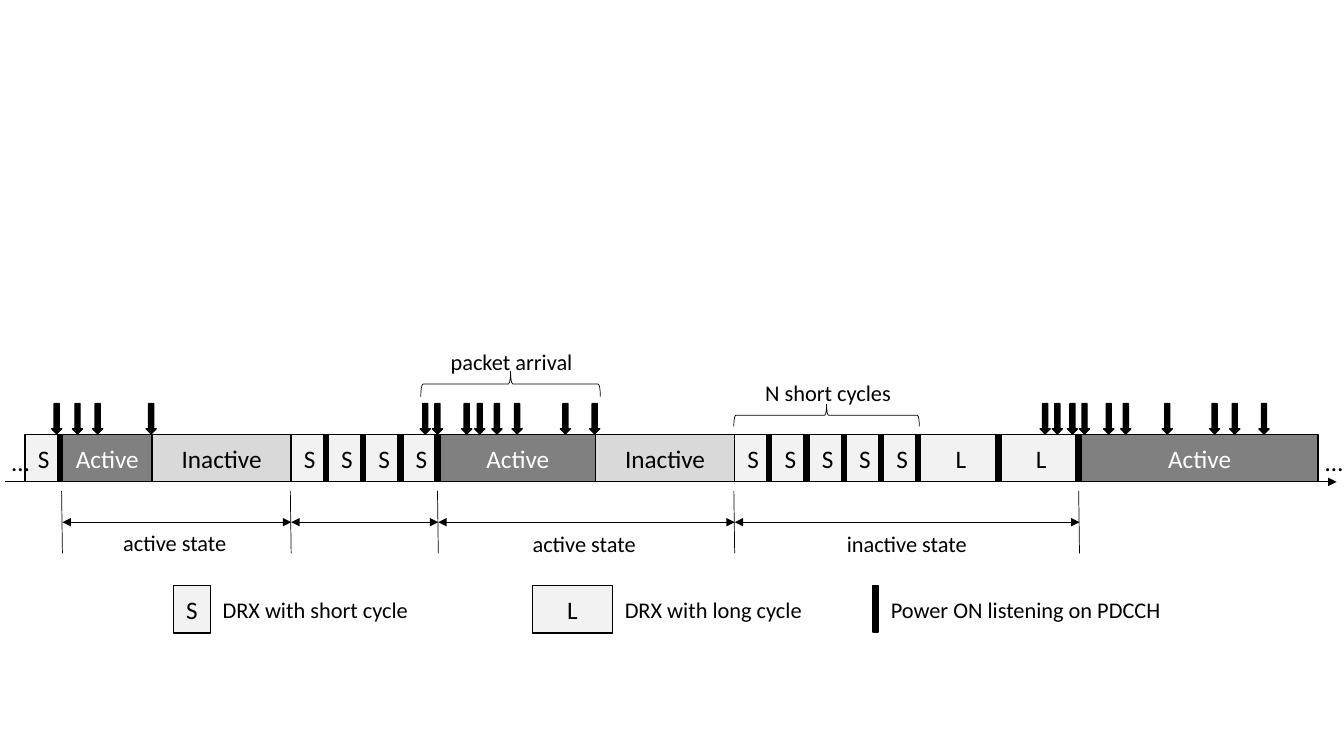
from pptx import Presentation
from pptx.dml.color import RGBColor
from pptx.enum.shapes import MSO_CONNECTOR, MSO_SHAPE
from pptx.enum.text import MSO_ANCHOR, PP_ALIGN
from pptx.oxml.ns import qn
from pptx.util import Pt
from lxml.etree import SubElement

# Content: timeline blocks as (label, width), in order
SHORT, LONG, INACTIVE = ("S", 26.6), ("L", 57.3), ("Inactive", 99.3)
BLOCKS = [
    SHORT, ("Active", 64.1), INACTIVE, *[SHORT] * 4,
    ("Active", 111), INACTIVE, *[SHORT] * 5, *[LONG] * 2, ("Active", 169.1),
]
PACKET_LEFTS = [
    36.9, 51.8, 66.2, 104.4, 300.2, 308.9, 329.8, 339.1, 351.4, 365.8, 400.3, 421.2,
    743, 751.7, 762.5, 771.1, 788.4, 800.6, 830.2, 864, 878.4, 899.3,
]
STATE_EDGES = [44.3, 207.7, 312.8, 524.5, 770.8]
# Labels: text, left, top, width
STATE_LABELS = [
    ("active state", 59, 374.4, 131.8),
    ("active state", 351.4, 375.1, 131.8),
    ("inactive state", 581.8, 375.1, 131.8),
]
# Braces: caption, caption left, caption top, centre x, centre y, thickness, span
BRACES = [
    ("packet arrival", 299.5, 244.8, 364.7, 274.3, 18, 128.2),
    ("N short cycles", 525.6, 267.1, 590.4, 296.6, 15.8, 132.5),
]
# Legend: block or None for a power bar, symbol left, text, text left, text width
LEGEND = [
    (SHORT, 123.8, "DRX with short cycle", 151.9, 153.4),
    (LONG, 380.2, "DRX with long cycle", 439.2, 153.4),
    (None, 623.5, "Power ON listening on PDCCH", 629.3, 211),
]
ELLIPSIS_LEFTS = [1.4, 939.6]

COLORS = {"black": "000000", "white": "FFFFFF", "cycle": "F2F2F2",
          "Inactive": "D9D9D9", "Active": "808080"}
FONT = "Calibri"
TRACK_LEFT, TRACK_TOP, TRACK_HEIGHT = 18, 310.3, 33.8
BAR_WIDTH, LEGEND_TOP = 3.6, 418.3

presentation = Presentation()
presentation.slide_width, presentation.slide_height = Pt(960), Pt(540)
slide = presentation.slides.add_slide(presentation.slide_layouts[6])


def color(name):
    return RGBColor.from_string(COLORS[name])


def write(frame, text, size, font_color="black", align=PP_ALIGN.CENTER):
    frame.word_wrap = True
    paragraph = frame.paragraphs[0]
    paragraph.alignment = align
    run = paragraph.add_run()
    run.text = text
    run.font.name, run.font.size = FONT, Pt(size)
    run.font.color.rgb = color(font_color)


def add_label(text, left, top, width, size=16, align=PP_ALIGN.CENTER):
    box = slide.shapes.add_textbox(Pt(left), Pt(top), Pt(width), Pt(26.6))
    write(box.text_frame, text, size, align=align)


def add_shape(preset, left, top, width, height, fill=None, line_width=1):
    shape = slide.shapes.add_shape(preset, Pt(left), Pt(top), Pt(width), Pt(height))
    shape.shadow.inherit = False
    if fill:
        shape.fill.solid()
        shape.fill.fore_color.rgb = color(fill)
    else:
        shape.fill.background()
    shape.line.color.rgb = color("black")
    shape.line.width = Pt(line_width)
    return shape


def add_block(text, left, top, width):
    fill = text if text in COLORS else "cycle"
    shape = add_shape(MSO_SHAPE.RECTANGLE, left, top, width, TRACK_HEIGHT, fill)
    frame = shape.text_frame
    frame.margin_left = frame.margin_right = 0
    frame.vertical_anchor = MSO_ANCHOR.MIDDLE
    write(frame, text, 18, "white" if text == "Active" else "black")


def add_power_bar(left, top):
    add_shape(MSO_SHAPE.RECTANGLE, left, top, BAR_WIDTH, 33.1, "black")


def add_line(x1, y1, x2, y2, arrow_ends=()):
    line = slide.shapes.add_connector(
        MSO_CONNECTOR.STRAIGHT, Pt(x1), Pt(y1), Pt(x2), Pt(y2))
    line.line.color.rgb = color("black")
    line.line.width = Pt(0.5)
    outline = line.line._get_or_add_ln()
    for end in arrow_ends:
        SubElement(outline, qn("a:" + end), type="triangle")
    SubElement(line._element.spPr, qn("a:effectLst"))


# Timeline blocks; each DRX cycle ends with a power bar
bar_lefts = []
left = TRACK_LEFT
for text, width in BLOCKS:
    add_block(text, left, TRACK_TOP, width)
    left += width
    if text in ("S", "L"):
        bar_lefts.append(left - BAR_WIDTH)

# Packet arrivals
for packet_left in PACKET_LEFTS:
    add_shape(MSO_SHAPE.DOWN_ARROW, packet_left, 288.3, 7.2, 21.6, "black")

# State boundaries, spans and labels
for edge in STATE_EDGES:
    add_line(edge - 0.3, 350.6, edge + 0.3, 395.3)
for start, end in zip(STATE_EDGES, STATE_EDGES[1:]):
    add_line(start + 0.3, 373, end + 0.3, 373, ("headEnd", "tailEnd"))
for label in STATE_LABELS:
    add_label(*label)

# Braces and captions
for caption, caption_left, caption_top, x, y, thickness, span in BRACES:
    brace = add_shape(MSO_SHAPE.LEFT_BRACE, x - thickness / 2, y - span / 2,
                      thickness, span, line_width=0.5)
    brace.rotation = 90
    add_label(caption, caption_left, caption_top, 131.8)

# Time axis and power bars
add_line(3.6, 344.2, 954.7, 344.2, ("tailEnd",))
for ellipsis_left in ELLIPSIS_LEFTS:
    add_label("…", ellipsis_left, 315, 20, 18, PP_ALIGN.LEFT)
for bar_left in bar_lefts:
    add_power_bar(bar_left, 310.7)

# Legend
for block, symbol_left, text, text_left, text_width in LEGEND:
    if block:
        add_block(block[0], symbol_left, LEGEND_TOP, block[1])
    else:
        add_power_bar(symbol_left, LEGEND_TOP)
    add_label(text, text_left, 422.4, text_width, align=PP_ALIGN.LEFT)

presentation.save("out.pptx")
